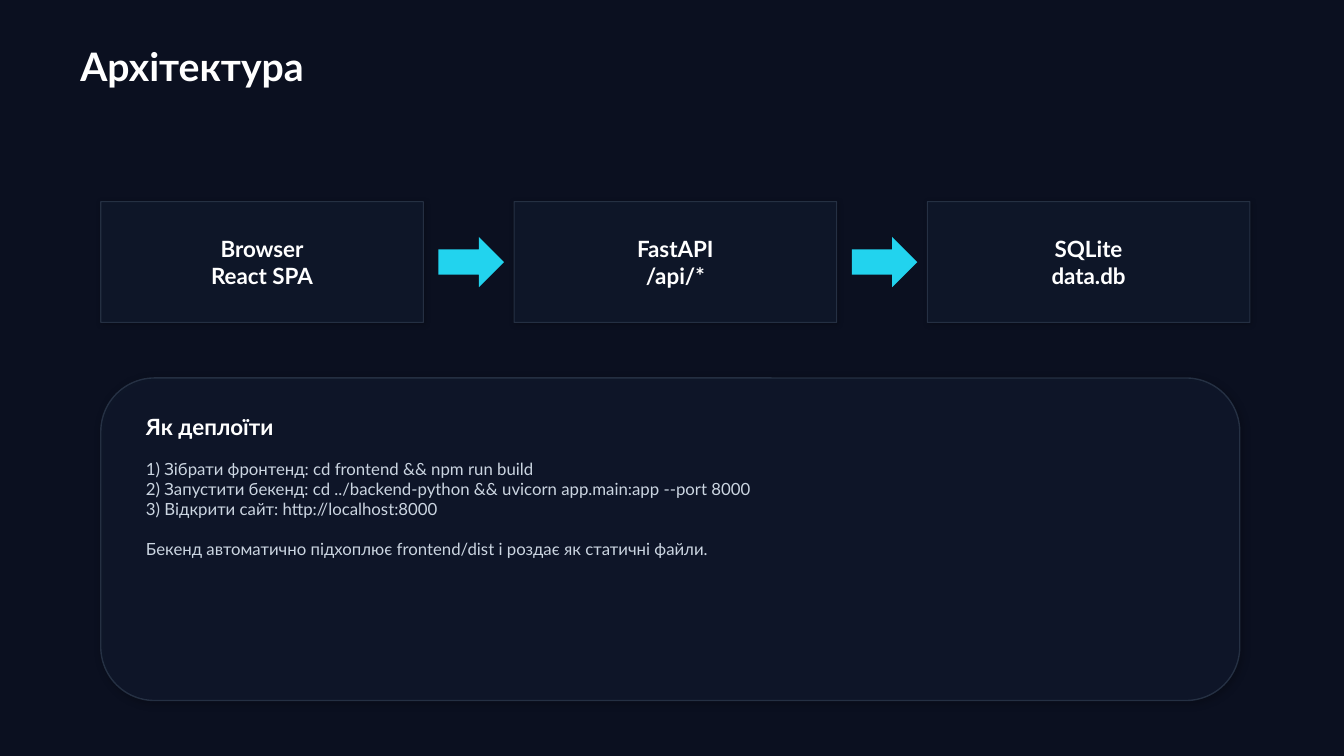
from lxml import etree
from pptx import Presentation
from pptx.dml.color import RGBColor
from pptx.enum import shapes, text
from pptx.oxml.ns import qn
from pptx.util import Pt

TITLE = "Архітектура"
NODES = [["Browser", "React SPA"], ["FastAPI", "/api/*"], ["SQLite", "data.db"]]
HEAD = "Як деплоїти"
STEPS = [
    "1) Зібрати фронтенд: cd frontend && npm run build",
    "2) Запустити бекенд: cd ../backend-python && uvicorn app.main:app --port 8000",
    "3) Відкрити сайт: http://localhost:8000",
]
NOTE = "Бекенд автоматично підхоплює frontend/dist і роздає як статичні файли."

HEX = {"back": "0B1020", "card": "0F172A", "edge": "334155", "arrow": "22D3EE",
       "white": "FFFFFF", "body": "CBD5E1", "shade": "000000"}
BOLD = {"name": "Lato", "bold": True, "size": Pt(16)}
BIG = BOLD | {"size": Pt(28)}
BODY = {"name": "Lato", "size": Pt(12)}

LEFT, TOP, WIDE, HIGH = 72, 144, 230.4, 86.4
STEP = 295.2
ARROW_W, ARROW_H, ARROW_GAP = 46.8, 36, 10.8


def rgb(name):
    return RGBColor.from_string(HEX[name])


def add(parent, tag, **attrs):
    return etree.SubElement(parent, qn(tag), {k: str(v) for k, v in attrs.items()})


def fade(fill, percent):
    """Set the opacity of a solid fill."""
    color = fill._xPr.find(qn("a:solidFill"))[0]
    add(color, "a:alpha", val=percent * 1000)


def write(shape, lines, font, color, align, anchor):
    frame = shape.text_frame
    frame.word_wrap = True
    frame.vertical_anchor = anchor
    frame.text = "\n".join(lines)
    for par in frame.paragraphs:
        par.alignment = align
        for key, value in font.items():
            setattr(par.font, key, value)
        par.font.color.rgb = rgb(color)
    return frame


def label(slide, box, lines, font, color="white", anchor=text.MSO_ANCHOR.MIDDLE):
    shape = slide.shapes.add_textbox(*map(Pt, box))
    return write(shape, lines, font, color, text.PP_ALIGN.LEFT, anchor)


def block(slide, kind, box, color):
    shape = slide.shapes.add_shape(kind, *map(Pt, box))
    shape.shadow.inherit = False
    shape.fill.solid()
    shape.fill.fore_color.rgb = rgb(color)
    shape.line.fill.background()
    return shape


def card(slide, kind, box, solid, line, shade, blur, dist):
    """Draw a translucent card with a faint edge and a soft shadow."""
    shape = block(slide, kind, box, "card")
    fade(shape.fill, solid)
    shape.line.color.rgb = rgb("edge")
    shape.line.width = Pt(line)
    fade(shape.line.fill, 65)
    effects = shape._element.spPr.find(qn("a:effectLst"))
    shadow = add(effects, "a:outerShdw", blurRad=Pt(blur), dist=Pt(dist),
                 dir=45 * 60000, algn="bl", rotWithShape=0)
    color = add(shadow, "a:srgbClr", val=HEX["shade"])
    add(color, "a:alpha", val=shade * 1000)
    return shape


def main():
    deck = Presentation()
    deck.slide_width, deck.slide_height = Pt(960), Pt(540)
    slide = deck.slides.add_slide(deck.slide_layouts[6])
    slide.background.fill.solid()
    slide.background.fill.fore_color.rgb = rgb("back")
    kinds = shapes.MSO_SHAPE

    label(slide, (50.4, 25.2, 864, 43.2), [TITLE], BIG)
    for i, lines in enumerate(NODES):
        x = LEFT + i * STEP
        node = card(slide, kinds.RECTANGLE, (x, TOP, WIDE, HIGH), 92, 0.75, 26, 4, 1)
        write(node, lines, BOLD, "white", text.PP_ALIGN.CENTER, text.MSO_ANCHOR.MIDDLE)
        if i:
            start = x - STEP + WIDE + ARROW_GAP
            mid = TOP + (HIGH - ARROW_H) / 2
            block(slide, kinds.RIGHT_ARROW, (start, mid, ARROW_W, ARROW_H), "arrow")

    card(slide, kinds.ROUNDED_RECTANGLE, (LEFT, 270, 813.6, 230.4), 90, 1, 28, 6, 2)
    label(slide, (97.2, 290.16, 763.2, 28.8), [HEAD], BOLD)
    frame = label(slide, (97.2, 324, 763.2, 147.6), STEPS + [NOTE], BODY, "body",
                  text.MSO_ANCHOR.TOP)
    frame.paragraphs[-1].space_before = Pt(14.4)
    deck.save("out.pptx")


if __name__ == "__main__":
    main()
